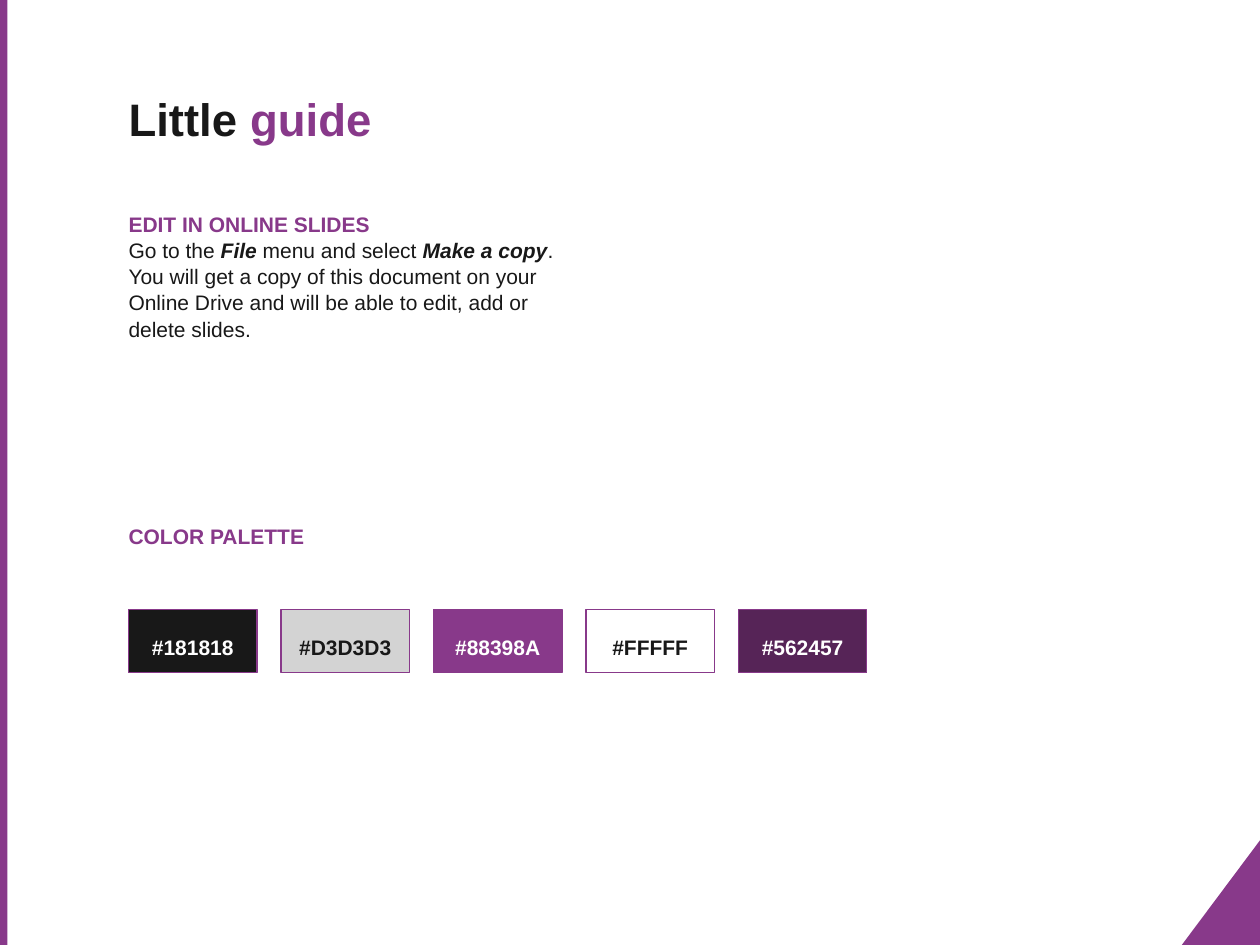
from lxml.etree import SubElement
from pptx import Presentation
from pptx.dml.color import RGBColor
from pptx.enum.shapes import MSO_SHAPE as Shape
from pptx.enum.text import MSO_ANCHOR as Anchor, MSO_AUTO_SIZE as AutoSize, PP_ALIGN as Align
from pptx.oxml.ns import qn
from pptx.util import Inches, Pt

INK, PURPLE, WHITE = "181818", "88398A", "FFFFFF"
SWATCHES = [
    ("#181818", INK, WHITE),
    ("#D3D3D3", "D3D3D3", INK),
    ("#88398A", PURPLE, WHITE),
    ("#FFFFF", WHITE, INK),
    ("#562457", "562457", WHITE),
]
GUIDE = [
    [("EDIT IN ONLINE SLIDES", PURPLE, True, False)],
    [
        ("Go to the ", INK, False, False),
        ("File", INK, True, True),
        (" menu and select ", INK, False, False),
        ("Make a copy", INK, True, True),
        (".", INK, False, False),
    ],
    [("You will get a copy of this document on your Online Drive and will be "
      "able to edit, add or delete slides.", INK, False, False)],
]


def colour(value):
    """Turn a hex string into a colour."""
    return RGBColor.from_string(value)


def write(box, paragraphs, size, align=Align.LEFT, anchor=Anchor.TOP, spacing=1.0):
    """Fill a box with paragraphs of (text, colour, bold, italic) spans."""
    frame = box.text_frame
    frame.word_wrap = True
    frame.auto_size = AutoSize.NONE
    frame.vertical_anchor = anchor
    frame.margin_left = frame.margin_right = Inches(0.1)
    frame.margin_top = frame.margin_bottom = Inches(0.1)
    frame.text = "\n".join("" for _ in paragraphs)
    for para, spans in zip(frame.paragraphs, paragraphs):
        para.alignment = align
        para.line_spacing = spacing
        para.space_before = para.space_after = Pt(0)
        props = para._p.get_or_add_pPr()
        props.set("marL", "0")
        props.set("indent", "0")
        SubElement(props, qn("a:buNone"))
        for text, hue, bold, italic in spans:
            span = para.add_run()
            span.text = text
            span.font.name = "Arial"
            span.font.size = Pt(size)
            span.font.bold = bold
            span.font.italic = italic
            span.font.color.rgb = colour(hue)


def place(box, left, top, width, height):
    """Move and size a placeholder."""
    box.left, box.top = Inches(left), Inches(top)
    box.width, box.height = Inches(width), Inches(height)


def add_block(page, kind, left, top, width, height, fill, line=None):
    """Add a filled preset shape with an optional outline."""
    block = page.shapes.add_shape(
        kind, Inches(left), Inches(top), Inches(width), Inches(height))
    block.shadow.inherit = False
    block.fill.solid()
    block.fill.fore_color.rgb = colour(fill)
    if line:
        block.line.color.rgb = colour(line)
        block.line.width = Pt(0.75)
    else:
        block.line.fill.background()
    return block


def add_decoration(page):
    """Add the left bar and the mirrored corner triangle."""
    corner = add_block(page, Shape.RIGHT_TRIANGLE, 9.38, 6.67, 0.62, 0.83, PURPLE)
    corner._element.spPr.xfrm.set("flipH", "1")
    add_block(page, Shape.RECTANGLE, 0, 0, 0.06, 7.5, PURPLE)


def add_swatches(page):
    """Add the row of labelled palette swatches."""
    for index, (label, fill, ink) in enumerate(SWATCHES):
        swatch = add_block(page, Shape.RECTANGLE, 1.02 + 1.21 * index, 4.84,
                           1.02, 0.5, fill, PURPLE)
        write(swatch, [[(label, ink, True, False)]], 12, Align.CENTER, Anchor.BOTTOM)


def main():
    """Build the guide slide."""
    deck = Presentation()
    deck.slide_width, deck.slide_height = Inches(10), Inches(7.5)
    page = deck.slides.add_slide(deck.slide_layouts.get_by_name("Two Content"))
    title, guide, palette = page.placeholders
    add_decoration(page)
    place(title, 0.92, 0.62, 2.48, 1.25)
    write(title, [[("Little ", INK, True, False), ("guide", PURPLE, True, False)]], 26)
    place(guide, 0.92, 1.57, 3.63, 1.99)
    write(guide, GUIDE, 12, spacing=1.04)
    place(palette, 0.92, 4.05, 3.63, 0.79)
    write(palette, [[("COLOR PALETTE", PURPLE, True, False)]], 12, spacing=1.04)
    add_swatches(page)
    deck.save("out.pptx")


if __name__ == "__main__":
    main()
